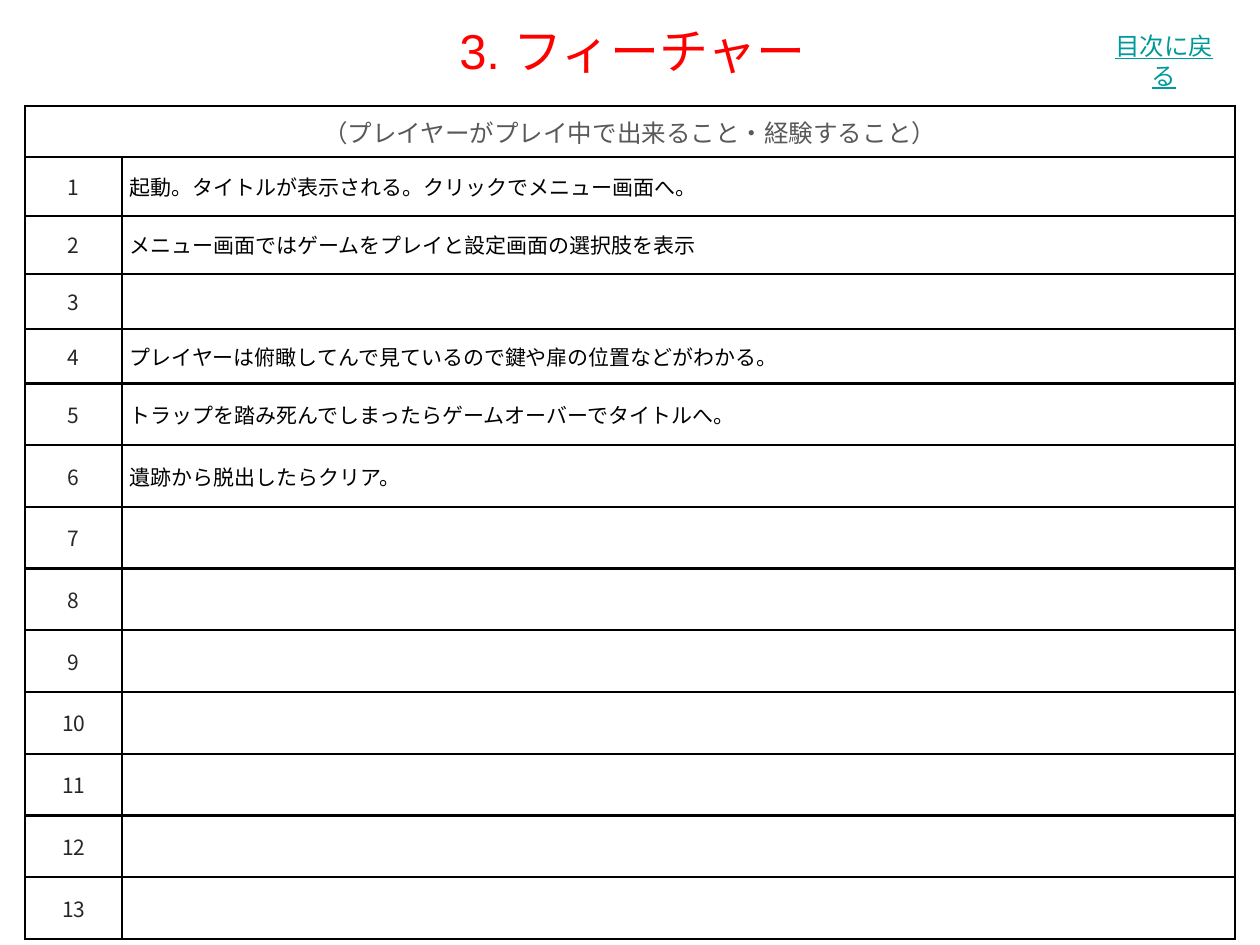
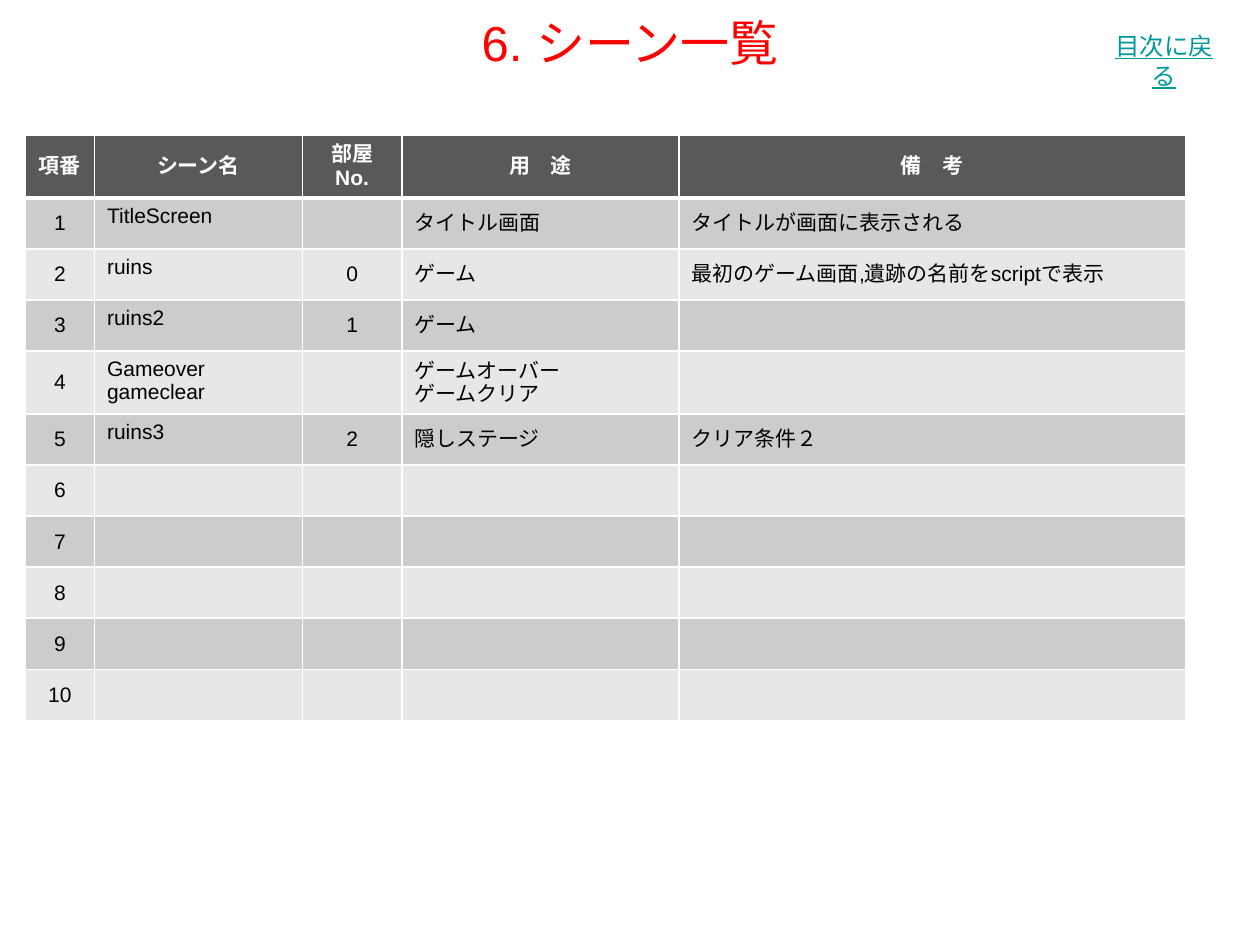
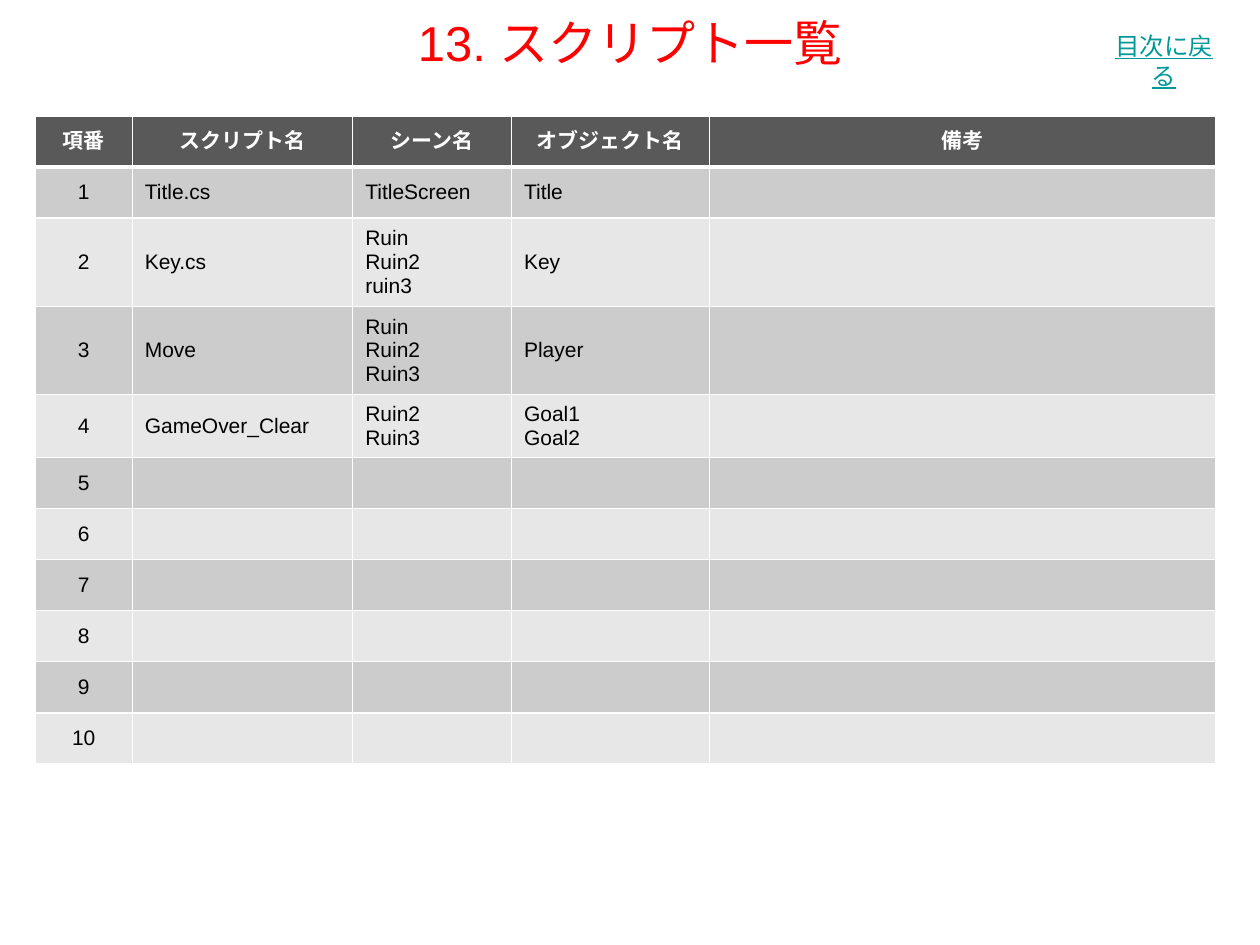
from lxml.etree import SubElement
from pptx import Presentation
from pptx.dml.color import RGBColor
from pptx.enum.text import MSO_ANCHOR, MSO_AUTO_SIZE, PP_ALIGN
from pptx.oxml.ns import qn
from pptx.util import Inches, Pt

# Content
FEATURES_TITLE = "3. フィーチャー"
FEATURES_HEAD = "（プレイヤーがプレイ中で出来ること・経験すること）"
FEATURES = [
    "起動。タイトルが表示される。クリックでメニュー画面へ。",
    "メニュー画面ではゲームをプレイと設定画面の選択肢を表示",
    "",
    "プレイヤーは俯瞰してんで見ているので鍵や扉の位置などがわかる。",
    "トラップを踏み死んでしまったらゲームオーバーでタイトルへ。",
    "遺跡から脱出したらクリア。",
]
FEATURE_COUNT = 13

LISTS = [
    {
        "title": "6. シーン一覧",
        "at": (0.2, 1.07),
        "cols": [0.55, 1.65, 0.79, 2.2, 4.02],
        "centred": {0, 2},
        "top": {1},
        "tall": {0: 0.49, 4: 0.5},
        "head": ["項番", "シーン名", "部屋No.", "用　途", "備　考"],
        "rows": [
            ["TitleScreen", "", "タイトル画面", "タイトルが画面に表示される"],
            ["ruins", "0", "ゲーム", "最初のゲーム画面,遺跡の名前をscriptで表示"],
            ["ruins2", "1", "ゲーム", ""],
            ["Gameover\ngameclear", "", "ゲームオーバー\nゲームクリア", ""],
            ["ruins3", "2", "隠しステージ", "クリア条件２"],
        ],
    },
    {
        "title": "13. スクリプト一覧",
        "at": (0.28, 0.92),
        "cols": [0.77, 1.75, 1.26, 1.57, 4.02],
        "centred": {0},
        "top": set(),
        "tall": {2: 0.7, 3: 0.7, 4: 0.5},
        "head": ["項番", "スクリプト名", "シーン名", "オブジェクト名", "備考"],
        "rows": [
            ["Title.cs", "TitleScreen", "Title", ""],
            ["Key.cs", "Ruin\nRuin2\nruin3", "Key", ""],
            ["Move", "Ruin\nRuin2\nRuin3", "Player", ""],
            ["GameOver_Clear", "Ruin2\nRuin3", "Goal1\nGoal2", ""],
        ],
    },
]
LIST_COUNT = 10
LIST_ROW = 4.46 / (LIST_COUNT + 1)
BACK_LINK = "目次に戻る"

# Shared look
COLORS = {
    "title": "FF0000", "link": "009999", "black": "000000", "white": "FFFFFF",
    "caption": "595959", "number": "262626", "head": "595959",
    "odd": "CCCCCC", "even": "E7E7E7",
}
SANS, GOTHIC = "Arial", "Noto Sans CJK JP"


def write(tf, text, size, color, font=SANS, align=PP_ALIGN.LEFT, bold=False, underline=False):
    tf.text = text
    for p in tf.paragraphs:
        p.alignment = align
        for r in p.runs:
            r.font.size, r.font.bold, r.font.underline = Pt(size), bold, underline
            r.font.color.rgb = RGBColor.from_string(COLORS[color])
            r.font.name = font
            SubElement(r.font._element, qn("a:ea"), typeface=font)
        if not p.runs:
            SubElement(p._p, qn("a:endParaRPr"), sz=str(size * 100))


def add_page(prs, title, box):
    s = prs.slides.add_slide(prs.slide_layouts[5])
    sp = s.shapes.title
    sp.left, sp.top, sp.width, sp.height = [Inches(v) for v in box]
    tf = sp.text_frame
    tf.auto_size, tf.vertical_anchor = MSO_AUTO_SIZE.NONE, MSO_ANCHOR.MIDDLE
    write(tf, title, 28, "title", align=PP_ALIGN.CENTER)
    return s


def add_back_link(s):
    sp = s.shapes.add_textbox(Inches(8.74), Inches(0.2), Inches(1.15), Inches(0.34))
    tf = sp.text_frame
    tf.word_wrap = True
    tf.margin_right = Inches(0.25)
    write(tf, BACK_LINK, 14, "link", align=PP_ALIGN.CENTER, underline=True)


def add_grid(s, at, cols, rows):
    frame = s.shapes.add_table(len(rows), len(cols), Inches(at[0]), Inches(at[1]),
                               Inches(sum(cols)), Inches(sum(rows)))
    table = frame.table
    table.first_row = table.horz_banding = False
    for col, width in zip(table.columns, cols):
        col.width = Inches(width)
    for row, height in zip(table.rows, rows):
        row.height = Inches(height)
    return table


def style_cell(cell, fill, line, width, bottom=None, top=None):
    tcPr = cell._tc.get_or_add_tcPr()
    for side, w in zip("LRTB", (width, width, top or width, bottom or width)):
        ln = SubElement(tcPr, qn(f"a:ln{side}"), w=str(Pt(w)))
        SubElement(SubElement(ln, qn("a:solidFill")), qn("a:srgbClr"), val=COLORS[line])
    cell.fill.solid()
    cell.fill.fore_color.rgb = RGBColor.from_string(COLORS[fill])
    cell.vertical_anchor = MSO_ANCHOR.MIDDLE


def add_features(prs):
    s = add_page(prs, FEATURES_TITLE, (0.04, 0.03, 9.96, 0.73))
    heights = [0.4, 0.47, 0.46, 0.44, 0.43]
    heights += [0.49] * (FEATURE_COUNT + 1 - len(heights))
    table = add_grid(s, (0.2, 0.84), [0.77, 8.83], heights)
    for cell in table.iter_cells():
        style_cell(cell, "white", "black", 1.5)
        cell.margin_left = cell.margin_right = Inches(0.06)
        cell.margin_top = cell.margin_bottom = Inches(0.06)
    table.cell(0, 0).merge(table.cell(0, 1))
    write(table.cell(0, 0).text_frame, FEATURES_HEAD, 14, "caption", GOTHIC, PP_ALIGN.CENTER)
    for i in range(1, FEATURE_COUNT + 1):
        text = FEATURES[i - 1] if i <= len(FEATURES) else ""
        write(table.cell(i, 0).text_frame, str(i), 12, "number", GOTHIC, PP_ALIGN.CENTER)
        write(table.cell(i, 1).text_frame, text, 12, "black", GOTHIC)
    add_back_link(s)


def add_list(prs, data):
    s = add_page(prs, data["title"], (0, -0.02, 10, 0.7))
    add_back_link(s)
    heights = [data["tall"].get(i, LIST_ROW) for i in range(LIST_COUNT + 1)]
    table = add_grid(s, data["at"], data["cols"], heights)
    # Header row
    for j, text in enumerate(data["head"]):
        cell = table.cell(0, j)
        style_cell(cell, "head", "white", 1, bottom=3)
        write(cell.text_frame, text, 12, "white", align=PP_ALIGN.CENTER, bold=True)
    # Numbered rows, the last ones left blank
    blank = [""] * (len(data["cols"]) - 1)
    for i in range(1, LIST_COUNT + 1):
        values = data["rows"][i - 1] if i <= len(data["rows"]) else blank
        for j, text in enumerate([str(i)] + values):
            cell = table.cell(i, j)
            style_cell(cell, "odd" if i % 2 else "even", "white", 1, top=3 if i == 1 else 1)
            if j in data["top"]:
                cell.vertical_anchor = MSO_ANCHOR.TOP
            align = PP_ALIGN.CENTER if j in data["centred"] else PP_ALIGN.LEFT
            write(cell.text_frame, text, 12, "black", align=align)


def main():
    prs = Presentation()
    prs.slide_width, prs.slide_height = Inches(10), Inches(7.5)
    add_features(prs)
    for data in LISTS:
        add_list(prs, data)
    prs.save("out.pptx")


if __name__ == "__main__":
    main()
